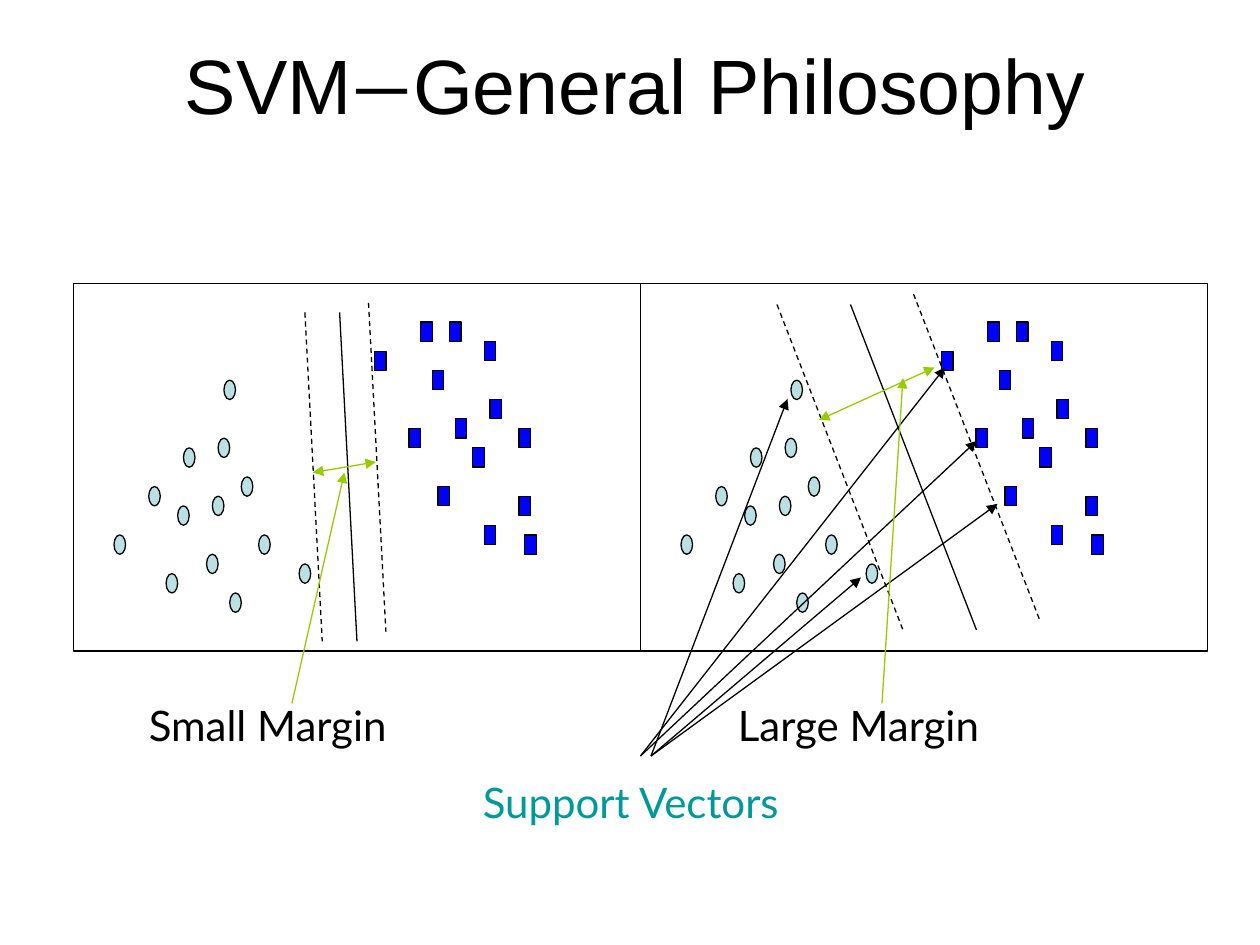
from pptx import Presentation
from pptx.dml.color import RGBColor
from pptx.enum.dml import MSO_LINE
from pptx.enum.shapes import MSO_CONNECTOR, MSO_SHAPE
from pptx.enum.text import MSO_ANCHOR, PP_ALIGN
from pptx.oxml.ns import qn
from pptx.util import Inches, Pt
from lxml import etree

OVAL, RECT = MSO_SHAPE.OVAL, MSO_SHAPE.RECTANGLE
STRAIGHT = MSO_CONNECTOR.STRAIGHT
DASH = MSO_LINE.DASH

COLORS = {"black": "000000", "circle": "BBE0E3", "square": "0000FF",
          "margin": "99CC00", "support": "009999"}

# The slide grid has cells of a twelfth of an inch.
UNIT = Inches(1) / 12
PANEL_W, PANEL_H, PANEL_TOP = 54, 35, 27
PANEL_LEFTS = (7, 61)

# Each panel has a finer grid for its data points.
COLS, ROWS = 98, 38
COL, ROW = PANEL_W / COLS, PANEL_H / ROWS
MARKER = 2

CIRCLES = [(16, 30), (18, 23), (7, 26), (13, 21), (23, 28), (19, 17), (24, 22),
           (25, 16), (29, 20), (32, 26), (27, 32), (39, 29), (26, 10)]
SQUARES = [(58, 15), (52, 7), (60, 4), (63, 21), (62, 9), (66, 14), (65, 4),
           (71, 6), (69, 17), (72, 12), (71, 25), (77, 15), (77, 22), (78, 26)]

# Boundary lines of the left panel in its own grid: start, end, dash
SMALL_BOUNDARIES = [((51, 2), (54, 36), DASH), ((40, 3), (43, 37), DASH),
                    ((46, 3), (49, 37), None)]
# The same for the right panel, in slide units: left, top, dash
LARGE_BOUNDARIES = [(74, 29, DASH), (87, 28, DASH), (81, 29, None)]
LARGE_RUN, LARGE_DROP = 12, 31

SUPPORT_ARROWS = [((61, 72), (90, 35)), ((61, 72), (93, 42)),
                  ((62, 72), (95, 48)), ((62, 72), (82, 55)),
                  ((62, 72), (75, 38))]
# Margin width, then the pointer from its label
MARGINS = [(((29.8, 45), (35.8, 44)), ((27.8, 67), (32.8, 45))),
           (((78, 40), (89, 35)), ((84, 67), (86, 36)))]


def units(*values):
    return [round(v * UNIT) for v in values]


def rgb(name):
    return RGBColor.from_string(COLORS[name])


def add_outlined(s, kind, box, fill=None):
    shape = s.shapes.add_shape(kind, *units(*box))
    shape.shadow.inherit = False
    if fill:
        shape.fill.solid()
        shape.fill.fore_color.rgb = rgb(fill)
    else:
        shape.fill.background()
    shape.line.color.rgb = rgb("black")
    shape.line.width = Pt(0.75)


def add_line(s, start, end, color="black", dash=None, ends=()):
    """Draw a line; ends lists the XML names of the ends with an arrowhead."""
    line = s.shapes.add_connector(STRAIGHT, *units(*start, *end))
    line.line.color.rgb = rgb(color)
    line.line.width = Pt(0.75)
    if dash:
        line.line.dash_style = dash
    ln = line.line._get_or_add_ln()
    for end_name in ends:
        etree.SubElement(ln, qn(f"a:{end_name}"), type="triangle")
    etree.SubElement(line._element.spPr, qn("a:effectLst"))


def add_text(s, box, runs, size, color="black"):
    """Add one paragraph of (text, font) runs and return its text frame."""
    tf = s.shapes.add_textbox(*units(*box)).text_frame
    tf.word_wrap = False
    p = tf.paragraphs[0]
    for text, font in runs:
        r = p.add_run()
        r.text = text
        r.font.name = font
        r.font.size = Pt(size)
        r.font.color.rgb = rgb(color)
    return tf


def add_title(s):
    runs = [("SVM", "Arial"), ("—", "Lato"), ("General Philosophy", "Arial")]
    tf = add_text(s, (4, 5, 113, 8), runs, 44)
    tf.word_wrap = True
    tf.vertical_anchor = MSO_ANCHOR.BOTTOM
    tf.paragraphs[0].alignment = PP_ALIGN.CENTER


def panel_point(left, col, row):
    return left + col * COL, PANEL_TOP + row * ROW


def add_panel(s, left):
    for kind, fill, points in ((OVAL, "circle", CIRCLES),
                               (RECT, "square", SQUARES)):
        for point in points:
            box = (*panel_point(left, *point), MARKER * COL, MARKER * ROW)
            add_outlined(s, kind, box, fill)
    add_outlined(s, RECT, (left, PANEL_TOP, PANEL_W, PANEL_H))


def main():
    prs = Presentation()
    prs.slide_width, prs.slide_height = Inches(10), Inches(7.5)
    s = prs.slides.add_slide(prs.slide_layouts[6])
    add_title(s)

    small_left, large_left = PANEL_LEFTS
    add_panel(s, small_left)
    for start, end, dash in SMALL_BOUNDARIES:
        add_line(s, panel_point(small_left, *start),
                 panel_point(small_left, *end), dash=dash)
    add_panel(s, large_left)
    for x, y, dash in LARGE_BOUNDARIES:
        add_line(s, (x, y), (x + LARGE_RUN, y + LARGE_DROP), dash=dash)

    add_text(s, (44.8, 73.4, 32.5, 6), [("Support Vectors", "Lato")], 24, "support")
    for start, end in SUPPORT_ARROWS:
        add_line(s, start, end, ends=("tailEnd",))

    labels = (("Small Margin", 13, 27.1), ("Large Margin", 69.1, 27.6))
    for (label, x, width), (span, pointer) in zip(labels, MARGINS):
        add_text(s, (x, 66, width, 6), [(label, "Lato")], 24)
        add_line(s, *span, color="margin", ends=("headEnd", "tailEnd"))
        add_line(s, *pointer, color="margin", ends=("tailEnd",))

    prs.save("out.pptx")


if __name__ == "__main__":
    main()
